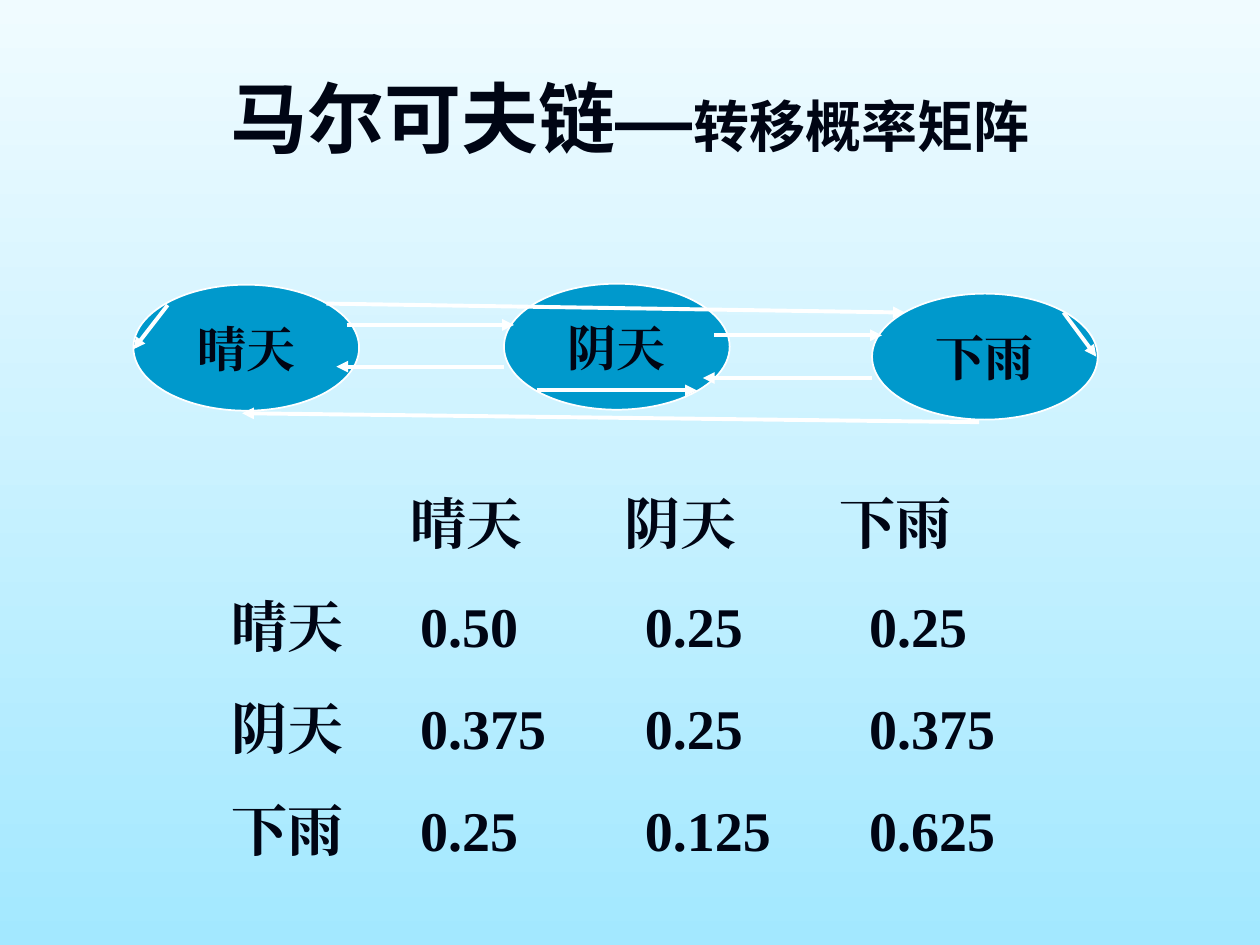
"""Build the slide on the transition matrix of a Markov chain."""
import pptx
import pptx.dml.color
import pptx.enum.shapes
import pptx.enum.text
import pptx.oxml.ns
import pptx.util
from lxml import etree

Cm, Pt = pptx.util.Cm, pptx.util.Pt
qn = pptx.oxml.ns.qn
ALIGN = pptx.enum.text.PP_ALIGN
MIDDLE = pptx.enum.text.MSO_ANCHOR.MIDDLE
SERIF, SANS, DASH = "Times New Roman", "Noto Sans CJK SC", "Arial"


def paint(color, code):
    color.rgb = pptx.dml.color.RGBColor.from_string(code)


def apply(obj, values):
    for name, value in values.items():
        setattr(obj, name, value)


class Deck:
    ink, fill, white = "000514", "0099CC", "FFFFFF"
    sky = ("F0FBFF", "A3E8FF")

    def __init__(self):
        self.prs = pptx.Presentation()
        apply(self.prs, {"slide_width": Cm(25.4), "slide_height": Cm(19.05)})
        self.slide = self.prs.slides.add_slide(self.prs.slide_layouts[5])
        self.shapes = self.slide.shapes

    def ground(self):
        fill = self.slide.background.fill
        fill.gradient()
        fill.gradient_angle = 270
        for place, (stop, code) in enumerate(zip(fill.gradient_stops, self.sky)):
            stop.position = place
            paint(stop.color, code)

    def label(self, para, text, size, face=SERIF):
        run = para.add_run()
        run.text = text
        apply(run.font, {"name": face, "size": Pt(size), "bold": True})
        paint(run.font.color, self.ink)
        etree.SubElement(run._r.get_or_add_rPr(), qn("a:ea"), typeface=face)

    def title(self, box, parts):
        shape = self.shapes.title
        names = ("left", "top", "width", "height")
        apply(shape, dict(zip(names, map(Cm, box))))
        shape.text_frame.vertical_anchor = MIDDLE
        para = shape.text_frame.paragraphs[0]
        para.alignment = ALIGN.CENTER
        for part in parts:
            self.label(para, *part)

    def state(self, text, left, top):
        oval = pptx.enum.shapes.MSO_SHAPE.OVAL
        shape = self.shapes.add_shape(oval, Cm(left), Cm(top), Cm(4.55), Cm(2.54))
        shape.shadow.inherit = False
        shape.fill.solid()
        paint(shape.fill.fore_color, self.fill)
        paint(shape.line.color, self.white)
        shape.line.width = Pt(1)
        apply(shape.text_frame, {"word_wrap": False, "vertical_anchor": MIDDLE})
        para = shape.text_frame.paragraphs[0]
        para.alignment = ALIGN.CENTER
        self.label(para, text, 28)

    def arrow(self, *ends):
        kind = pptx.enum.shapes.MSO_CONNECTOR.STRAIGHT
        link = self.shapes.add_connector(kind, *map(Cm, ends))
        paint(link.line.color, self.white)
        link.line.width = Pt(2.25)
        props = link._element.spPr
        etree.SubElement(props.find(qn("a:ln")), qn("a:tailEnd"), type="triangle")
        etree.SubElement(props, qn("a:effectLst"))

    def matrix(self, box, rows):
        frame = self.shapes.add_textbox(*map(Cm, box)).text_frame
        frame.word_wrap = True
        for index, (cells, stops) in enumerate(rows):
            para = frame.add_paragraph() if index else frame.paragraphs[0]
            apply(para, {"alignment": ALIGN.LEFT, "space_before": Pt(20)})
            tabs = etree.SubElement(para._p.get_or_add_pPr(), qn("a:tabLst"))
            for stop in stops:
                etree.SubElement(tabs, qn("a:tab"), pos=str(Cm(stop)), algn="l")
            self.label(para, "\t".join(cells), 32)


def main():
    deck = Deck()
    deck.ground()
    deck.title((1.27, 0.76, 22.86, 3.18), [
        ("马尔可夫链", 44, SANS), ("—", 44, DASH), ("转移概率矩阵", 32, SANS)])

    sun, cloud, rain = names = ("晴天", "阴天", "下雨")
    deck.state(cloud, 10.16, 5.72)
    deck.state(sun, 2.69, 5.74)
    deck.state(rain, 17.58, 5.92)

    for ends in (
        (10.16, 7.39, 6.78, 7.39),
        (6.99, 6.55, 10.36, 6.55),
        (14.4, 6.76, 17.78, 6.76),
        (6.58, 6.12, 18.24, 6.3),
        (3.38, 6.15, 2.69, 7.04),
        (21.44, 6.3, 22.1, 7.19),
        (10.82, 7.87, 14.05, 7.87),
        (19.74, 8.51, 4.88, 8.33),
        (17.58, 7.62, 14.17, 7.62),
    ):
        deck.arrow(*ends)

    odds = (("0.50", "0.25", "0.25"),
            ("0.375", "0.25", "0.375"),
            ("0.25", "0.125", "0.625"))
    heads, stops = (3.6, 7.92, 12.25), (3.8, 8.33, 12.85)
    rows = [(("", *names), heads)]
    rows += [((name, *line), stops) for name, line in zip(names, odds)]
    deck.matrix((4.42, 9.73, 16.08, 7.8), rows)
    deck.prs.save("out.pptx")


if __name__ == "__main__":
    main()
